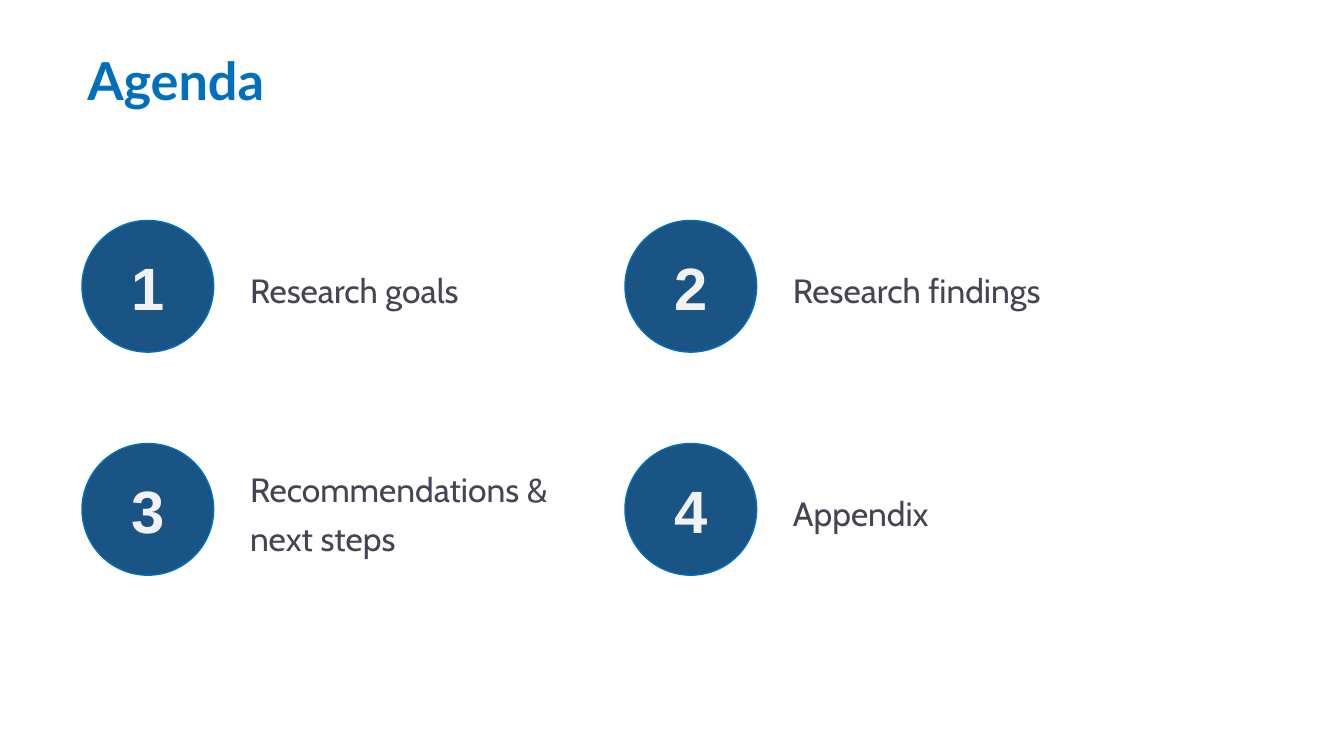
from dataclasses import dataclass

from pptx import Presentation
from pptx import util as u
from pptx.dml.color import RGBColor
from pptx.enum import shapes, text

BLUE, NAVY, SLATE, PALE = "0070BC", "1A5484", "454454", "F2F2F2"
CIRCLE = 0.98
COLUMNS = (0.61, 4.65)
ROWS = (1.64, 3.3)
LABEL_OFFSET = 1.21
LABEL_WIDTHS = (2.59, 4.33)


@dataclass
class AgendaItem:
    number: int
    label: str


ITEMS = [
    AgendaItem(1, "Research goals"),
    AgendaItem(2, "Research findings"),
    AgendaItem(3, "Recommendations & next steps"),
    AgendaItem(4, "Appendix"),
]


def color(value: str) -> RGBColor:
    return RGBColor.from_string(value)


def write(shape, words: str, *, font: str, size: int, fill: str,
          bold: bool = False, align=text.PP_ALIGN.LEFT,
          anchor=text.MSO_ANCHOR.MIDDLE, inset: float = 0.04,
          line_spacing: float = 1.0) -> None:
    frame = shape.text_frame
    frame.word_wrap = True
    frame.vertical_anchor = anchor
    frame.margin_left = frame.margin_right = u.Inches(inset)
    frame.margin_top = frame.margin_bottom = u.Inches(inset)
    para = frame.paragraphs[0]
    para.alignment = align
    para.line_spacing = line_spacing
    span = para.add_run()
    span.text = words
    span.font.name = font
    span.font.size = u.Pt(size)
    span.font.bold = bold
    span.font.color.rgb = color(fill)


def add_box(page, left: float, top: float, width: float, height: float):
    return page.shapes.add_textbox(
        u.Inches(left), u.Inches(top), u.Inches(width), u.Inches(height))


def add_item(page, item: AgendaItem, left: float, top: float, width: float) -> None:
    circle = page.shapes.add_shape(
        shapes.MSO_SHAPE.OVAL, u.Inches(left), u.Inches(top),
        u.Inches(CIRCLE), u.Inches(CIRCLE))
    circle.shadow.inherit = False
    circle.fill.solid()
    circle.fill.fore_color.rgb = color(NAVY)
    circle.line.color.rgb = color(BLUE)
    circle.line.width = u.Pt(0.75)
    write(circle, str(item.number), font="Arial", size=32, fill=PALE, bold=True,
          align=text.PP_ALIGN.CENTER, inset=0.1)

    label = add_box(page, left + LABEL_OFFSET, top, width, CIRCLE)
    write(label, item.label, font="Cabin", size=18, fill=SLATE, line_spacing=1.2)


def main() -> None:
    deck = Presentation()
    deck.slide_width = u.Inches(10)
    deck.slide_height = u.Inches(10 * 9 / 16)
    page = deck.slides.add_slide(deck.slide_layouts[6])

    title = add_box(page, COLUMNS[0], 0.32, 8.25, 0.69)
    write(title, "Agenda", font="Lato", size=28, fill=BLUE, bold=True,
          anchor=text.MSO_ANCHOR.TOP)

    for index, item in enumerate(ITEMS):
        row, column = divmod(index, len(COLUMNS))
        add_item(page, item, COLUMNS[column], ROWS[row], LABEL_WIDTHS[column])

    deck.save("out.pptx")


if __name__ == "__main__":
    main()
